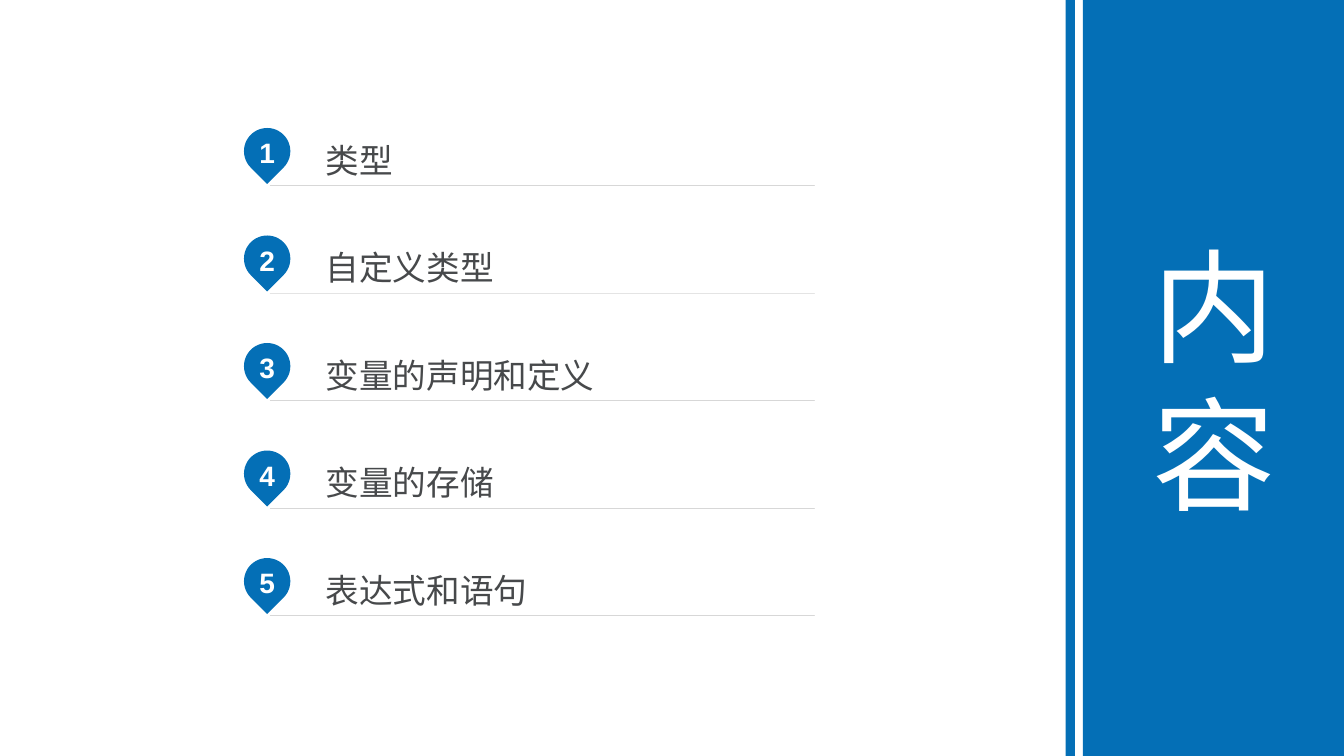
from math import sqrt

from lxml import etree
from pptx import Presentation
from pptx.dml.color import RGBColor
from pptx.enum.shapes import MSO_SHAPE
from pptx.enum.text import MSO_ANCHOR, PP_ALIGN
from pptx.oxml.ns import qn
from pptx.util import Inches, Pt

RECT = MSO_SHAPE.RECTANGLE
MIDDLE = MSO_ANCHOR.MIDDLE
LEFT, CENTER = PP_ALIGN.LEFT, PP_ALIGN.CENTER

BLUE = RGBColor(0x04, 0x6F, 0xB6)
WHITE = RGBColor(0xFF, 0xFF, 0xFF)
GRAY = RGBColor(0xD7, 0xD7, 0xD7)
DARK = RGBColor(0x47, 0x49, 0x4B)

TOPICS = ["类型", "自定义类型", "变量的声明和定义", "变量的存储", "表达式和语句"]
FIRST = 1.27
STEP = 3.2 / 3
RADIUS = 0.23
DEGREE = 60000


def paint(shape):
    """Give a shape a plain blue fill without line or shadow."""
    shape.shadow.inherit = False
    shape.fill.solid()
    shape.fill.fore_color.rgb = BLUE
    shape.line.fill.background()


def write(shape, text, size, color, align=CENTER, bold=False, insets=(0.1, 0.05, 0.1, 0.05)):
    """Set one formatted paragraph in the middle of a shape."""
    frame = shape.text_frame
    frame.text = text
    frame.word_wrap = True
    frame.vertical_anchor = MIDDLE
    left, top, right, bottom = map(Inches, insets)
    frame.margin_left, frame.margin_top = left, top
    frame.margin_right, frame.margin_bottom = right, bottom
    para = frame.paragraphs[0]
    para.alignment = align
    font = para.runs[0].font
    font.name, font.size, font.bold = "Arial", Pt(size), bold
    font.color.rgb = color
    return para


def add_bar(slide, left, top, width, height):
    """Add a blue rectangle."""
    bar = slide.shapes.add_shape(RECT, Inches(left), Inches(top), Inches(width), Inches(height))
    paint(bar)
    return bar


def round_top(pin):
    """Turn the corners above the pin's tip into one arc."""
    sides = list(pin._element.iter(qn("a:lnTo")))
    arc = etree.Element(qn("a:arcTo"))
    arc.set("wR", str(Inches(RADIUS)))
    arc.set("hR", str(Inches(RADIUS)))
    arc.set("stAng", str(135 * DEGREE))
    arc.set("swAng", str(270 * DEGREE))
    sides[0].addnext(arc)
    for side in sides[1:]:
        side.getparent().remove(side)


def add_pin(slide, top, number):
    """Add a numbered round pin that points down."""
    mid_x, mid_y = 2.65, top + RADIUS
    touch = RADIUS / sqrt(2)
    corners = [(-touch, touch), (-RADIUS, 0), (0, -RADIUS), (RADIUS, 0)]
    points = [(Inches(mid_x + across), Inches(mid_y + down)) for across, down in corners]
    outline = slide.shapes.build_freeform(Inches(mid_x), Inches(mid_y + 2 * touch))
    outline.add_line_segments(points, close=True)
    pin = outline.convert_to_shape()
    round_top(pin)
    paint(pin)
    write(pin, str(number), 20, WHITE, bold=True, insets=(0.1, 0.05, 0.1, 0.12))


def add_topic(slide, top, text):
    """Add a topic label that is ruled along its base."""
    left, right = Inches(2.68), Inches(8.08)
    head, base = Inches(top), Inches(top + 0.55)
    outline = slide.shapes.build_freeform(left, base)
    outline.add_line_segments([(right, base), (left, base)], close=True)
    outline.move_to(left, head)
    outline.add_line_segments([(left, head)], close=True)
    label = outline.convert_to_shape()
    label.shadow.inherit = False
    label.fill.background()
    label.line.color.rgb = GRAY
    label.line.width = Pt(0.25)
    para = write(label, text, 24, DARK, LEFT, insets=(0.55, 0, 0, 0.04))
    para.line_spacing = 1.2


def main():
    """Build the contents slide."""
    deck = Presentation()
    deck.slide_width, deck.slide_height = Inches(13.33), Inches(7.5)
    slide = deck.slides.add_slide(deck.slide_layouts[6])
    for index, topic in enumerate(TOPICS):
        top = FIRST + index * STEP
        add_pin(slide, top, index + 1)
        add_topic(slide, top + 0.02, topic)
    panel = add_bar(slide, 10.74, 0, 2.6, 7.5)
    write(panel, "内容", 88, WHITE)
    add_bar(slide, 10.57, -0.02, 0.09, 7.52)
    deck.save("out.pptx")


if __name__ == "__main__":
    main()
